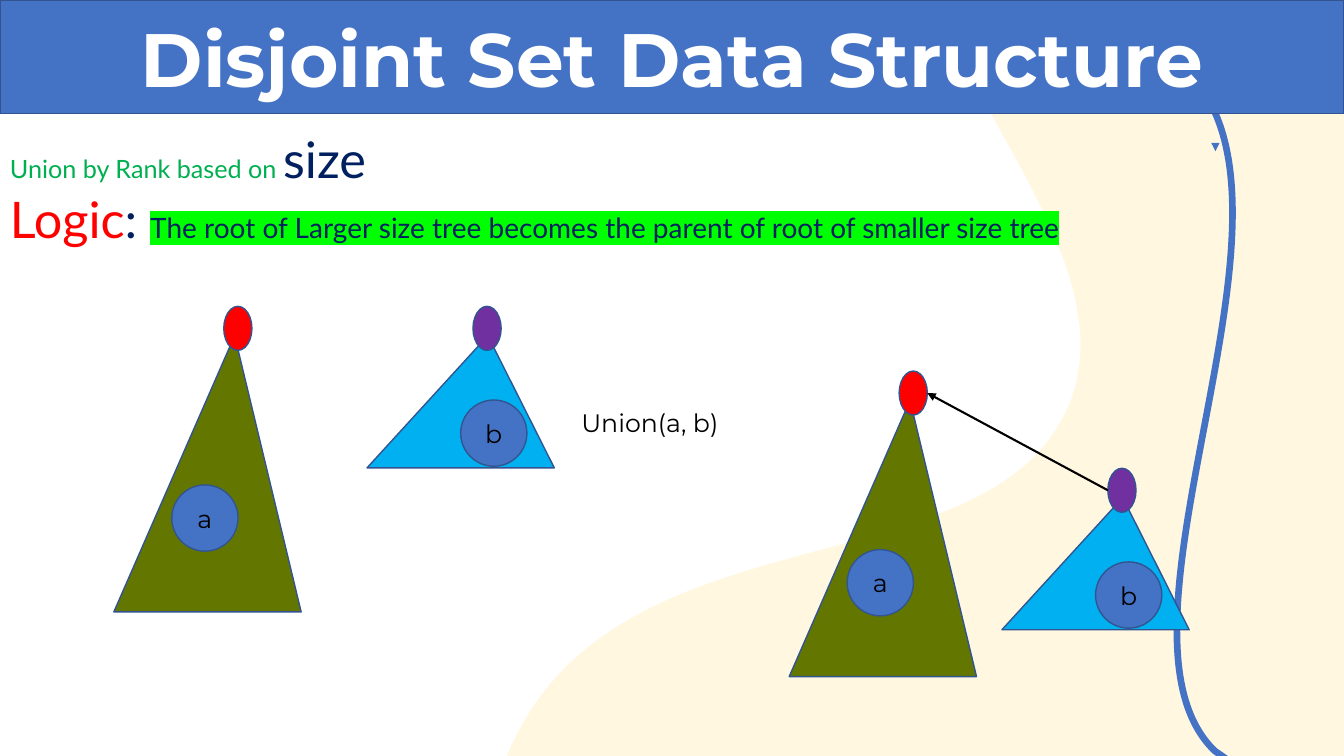
from dataclasses import dataclass

from lxml.etree import SubElement
from pptx import Presentation
from pptx.dml.color import RGBColor
from pptx.enum.shapes import MSO_CONNECTOR, MSO_SHAPE
from pptx.enum.text import MSO_ANCHOR, MSO_AUTO_SIZE, PP_ALIGN
from pptx.oxml.ns import qn
from pptx.util import Cm, Pt


@dataclass(frozen=True)
class Theme:
    blue: str = "4472C4"
    outline: str = "325491"
    cream: str = "FFD966"
    olive: str = "637700"
    sky: str = "00B0F0"
    red: str = "FF0000"
    purple: str = "7030A0"
    green: str = "00B050"
    navy: str = "002060"
    lime: str = "00FF00"
    black: str = "000000"
    white: str = "FFFFFF"
    heading_font: str = "Montserrat"
    body_font: str = "Lato"
    title_size: int = 54
    big_size: int = 36
    rule_size: int = 20
    text_size: int = 18


T = Theme()
W, H = 33.87, 19.05


def paint(sp, fill, line=T.outline):
    sp.fill.solid()
    sp.fill.fore_color.rgb = RGBColor.from_string(fill)
    sp.line.color.rgb = RGBColor.from_string(line)
    sp.line.width = Pt(1)


def style(r, size, color, font, bold=False):
    r.font.size = Pt(size)
    r.font.bold = bold
    r.font.color.rgb = RGBColor.from_string(color)
    r.font.name = font


def add_shape(s, kind, left, top, width, height, fill):
    sp = s.shapes.add_shape(kind, Cm(left), Cm(top), Cm(width), Cm(height))
    sp.shadow.inherit = False
    paint(sp, fill)
    return sp


def add_arrow(s, x1, y1, x2, y2, color, width):
    c = s.shapes.add_connector(MSO_CONNECTOR.STRAIGHT, x1, y1, x2, y2)
    c.line.color.rgb = RGBColor.from_string(color)
    c.line.width = Pt(width)
    SubElement(c.line._get_or_add_ln(), qn("a:tailEnd"), type="triangle")
    SubElement(c._element.spPr, qn("a:effectLst"))


def add_outline(s, corners, curves, close):
    """Freeform through straight corners, then cubic curves of three points each."""
    stops = [(Cm(x), Cm(y)) for x, y in corners + [curve[-1] for curve in curves]]
    fb = s.shapes.build_freeform(*stops[0])
    fb.add_line_segments(stops[1:], close=close)
    sp = fb.convert_to_shape()
    sp.shadow.inherit = False

    # Bend the last segments
    segments = list(sp._element.iter(qn("a:lnTo")))[-len(curves):]
    for segment, curve in zip(segments, curves):
        bend = SubElement(segment.getparent(), qn("a:cubicBezTo"))
        for x, y in curve:
            SubElement(bend, qn("a:pt"), x=str(Cm(x) - sp.left), y=str(Cm(y) - sp.top))
        segment.getparent().replace(segment, bend)
    return sp


def add_backdrop(s):
    # Pale wave
    wave = add_outline(
        s, [(23.55, 0), (W, 0), (W, H), (12.78, H), (12.88, 18.8)],
        [((12.98, 18.57), (13.08, 18.42), (13.13, 18.31)),
         ((16.03, 13), (24.43, 14.68), (26.72, 10.64)),
         ((28.52, 7.52), (25.1, 3.71), (23.67, 0.3))], True)
    paint(wave, T.cream)
    wave.line.fill.background()
    color = wave.fill._xPr.find(qn("a:solidFill"))[0]
    SubElement(color, qn("a:alpha"), val="20000")

    # Blue ribbon
    ribbon = add_outline(
        s, [(30.91, 19.13), (30.84, 19.08), (30.61, 18.92)],
        [((27.53, 15.93), (33.2, 5.59), (30.1, 2.01)),
         ((27.38, -1.19), (20.83, 4.57), (17.35, 0.3)),
         ((17.27, 0.23), (17.17, 0.1), (17.04, -0.08))], False)
    ribbon.fill.background()
    ribbon.line.color.rgb = RGBColor.from_string(T.blue)
    ribbon.line.width = Pt(4.75)
    add_arrow(s, Cm(30.63), Cm(3.61), Cm(30.63), Cm(3.81), T.blue, 0.5)


def add_title(s, left, top, width, height):
    sp = s.shapes.title
    sp.left, sp.top, sp.width, sp.height = Cm(left), Cm(top), Cm(width), Cm(height)
    paint(sp, T.blue)
    tf = sp.text_frame
    tf.text = "Disjoint Set Data Structure"
    tf.auto_size = MSO_AUTO_SIZE.NONE
    tf.vertical_anchor = MSO_ANCHOR.MIDDLE
    p = tf.paragraphs[0]
    p.alignment = PP_ALIGN.CENTER
    style(p.runs[0], T.title_size, T.white, T.heading_font, True)
    s.shapes._spTree.append(sp._element)  # the banner covers the ribbon


def add_text(s, left, top, width, height, lines, font):
    """Each line is a list of (text, size, color, highlight) runs."""
    box = s.shapes.add_textbox(Cm(left), Cm(top), Cm(width), Cm(height))
    tf = box.text_frame
    tf.word_wrap = True
    for i, line in enumerate(lines):
        p = tf.add_paragraph() if i else tf.paragraphs[0]
        for text, size, color, highlight in line:
            r = p.add_run()
            r.text = text
            style(r, size, color, font)
            if highlight:
                rPr = r.font._element
                mark = SubElement(rPr, qn("a:highlight"))
                SubElement(mark, qn("a:srgbClr"), val=highlight)
                rPr.find(qn("a:solidFill")).addnext(mark)


def add_tree(s, left, top, name, height, fill, root_fill, root_dx, label_dx, label_dy):
    """Triangle with a root on its tip and a named disc; returns the root."""
    body = add_shape(s, MSO_SHAPE.ISOSCELES_TRIANGLE, left, top + 0.74, 4.72, height, fill)
    body.adjustments[0] = 0.645
    root = add_shape(s, MSO_SHAPE.OVAL, left + root_dx, top, 0.71, 1.11, root_fill)
    disc = add_shape(s, MSO_SHAPE.OVAL, left + label_dx, top + label_dy, 1.67, 1.67, T.blue)
    tf = disc.text_frame
    tf.text = name
    tf.vertical_anchor = MSO_ANCHOR.MIDDLE
    p = tf.paragraphs[0]
    p.alignment = PP_ALIGN.CENTER
    style(p.runs[0], T.text_size, T.black, T.heading_font)
    return root


def add_tree_pair(s, a_at, b_at):
    a = add_tree(s, *a_at, "a", 6.96, T.olive, T.red, 2.77, 1.46, 4.5)
    b = add_tree(s, *b_at, "b", 3.33, T.sky, T.purple, 2.67, 2.36, 2.36)
    return a, b


def main():
    prs = Presentation()
    prs.slide_width, prs.slide_height = Cm(W), Cm(H)
    s = prs.slides.add_slide(prs.slide_layouts[5])

    add_backdrop(s)

    # Rule for the union
    add_text(s, 0, 3.1, 34.37, 3.33, [
        [("Union by Rank based on ", T.text_size, T.green, None),
         ("size", T.big_size, T.navy, None)],
        [("Logic", T.big_size, T.red, None),
         (": ", T.big_size, T.navy, None),
         ("The root of Larger size tree becomes the parent of root of smaller size tree",
          T.rule_size, T.navy, T.lime)],
    ], T.body_font)

    # Before the union
    add_tree_pair(s, (2.87, 7.72), (9.25, 7.72))
    add_text(s, 14.4, 10.13, 4.42, 1.02,
             [[("Union(a, b)", T.text_size, T.black, None)]], T.heading_font)

    # After the union: the root of b points to the root of a
    a, b = add_tree_pair(s, (19.89, 9.35), (25.25, 11.8))
    add_arrow(s, b.left, b.top + b.height // 2,
              a.left + a.width, a.top + a.height // 2, T.black, 1.5)

    add_title(s, 0, 0.02, W, 2.84)

    prs.save("out.pptx")


if __name__ == "__main__":
    main()
